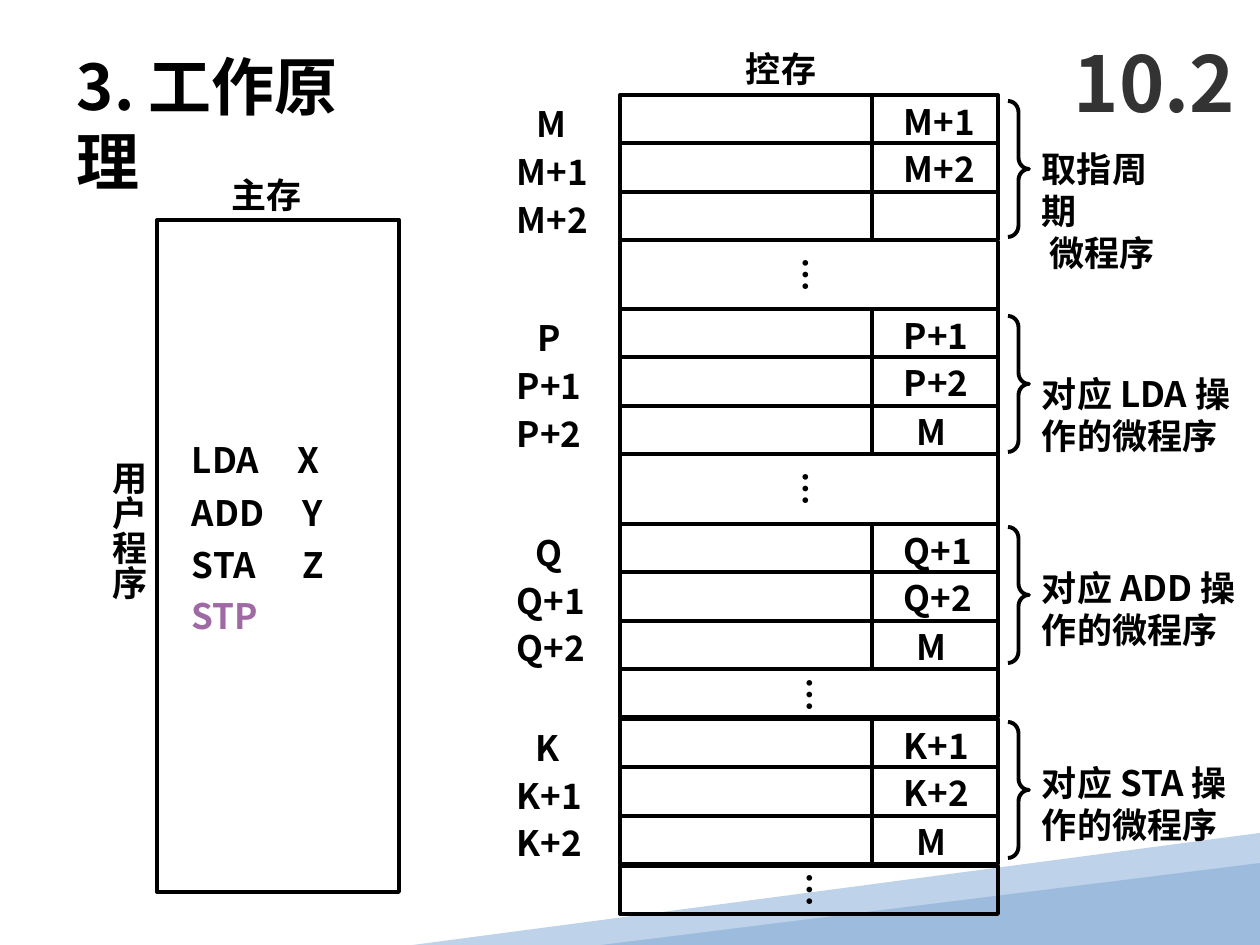
from dataclasses import dataclass

from pptx import Presentation
from pptx import util as u
from pptx.dml.color import RGBColor
from pptx.enum import shapes, text
from pptx.oxml.ns import qn
from lxml import etree

PX = 914400 / 126
FONT = "Noto Sans CJK SC"
BLACK = RGBColor(0, 0, 0)
GRAY = RGBColor(0x33, 0x33, 0x33)
PLUM = RGBColor(0x9F, 0x69, 0xA3)
PALE = RGBColor(0xBE, 0xD2, 0xE9)
BLUE = RGBColor(0x9D, 0xBC, 0xDD)
LEFT, RIGHT, SPLIT = 620, 998, 872
STEP = 48


@dataclass
class Block:
    name: str
    top: int
    head: int
    nexts: list[str]
    brace: int
    note: list[str]
    note_y: int
    note_w: int


@dataclass
class Order:
    code: str
    arg: str
    stop: int


BLOCKS = [
    Block("M", 95, 524, ["M+1", "M+2"], 101, ["取指周期", "微程序"], 139, 165),
    Block("P", 309, 525, ["P+1", "P+2", "M"], 316,
          ["对应 LDA 操", "作的微程序"], 364, 223),
    Block("Q", 524, 522, ["Q+1", "Q+2", "M"], 527,
          ["对应 ADD 操", "作的微程序"], 558, 223),
    Block("K", 719, 522, ["K+1", "K+2", "M"], 722,
          ["对应 STA 操", "作的微程序"], 753, 221),
]
ORDERS = [Order("LDA", "X", 106), Order("ADD", "Y", 111), Order("STA", "Z", 111)]
DOTS = [(772, 252), (772, 466), (777, 672), (777, 867)]


def px(num: float) -> int:
    return round(num * PX)


def area(x: int, y: int, w: int, h: int) -> tuple[int, ...]:
    return px(x), px(y), px(w), px(h)


def write(page, lines: list[str], x: int, y: int, w: int, h: int, size: int = 20,
          color: RGBColor = BLACK, wrap: bool = False, vert: bool = False,
          mid: bool = False, tab: int = 0, dent: int = 0) -> None:
    frame = page.shapes.add_textbox(*area(x, y, w, h)).text_frame
    frame.word_wrap = wrap
    frame.auto_size = text.MSO_AUTO_SIZE.NONE
    frame.margin_left = frame.margin_right = px(13)
    frame.margin_bottom = px(6)
    frame.margin_top = px(6 if vert else 6 + size // 8)
    frame.vertical_anchor = text.MSO_ANCHOR.MIDDLE if mid else text.MSO_ANCHOR.TOP
    if vert:
        frame._txBody.bodyPr.set("vert", "eaVert")
    for num, line in enumerate(lines):
        para = frame.add_paragraph() if num else frame.paragraphs[0]
        para.line_spacing = u.Pt(round(size * 1.2))
        props = para._p.get_or_add_pPr()
        if num and dent:
            props.set("marL", str(px(dent)))
            props.set("indent", "0")
        if tab:
            tabs = etree.SubElement(props, qn("a:tabLst"))
            etree.SubElement(tabs, qn("a:tab"), pos=str(px(tab)), algn="l")
        run = para.add_run()
        run.text = line
        font = run.font
        font.name, font.size, font.bold = FONT, u.Pt(size), True
        font.color.rgb = color
        etree.SubElement(run._r.get_or_add_rPr(), qn("a:ea"), typeface=FONT)


def stroke(item) -> None:
    item.line.color.rgb = BLACK
    item.line.width = u.Pt(2.25)


def outline(page, kind, x: int, y: int, w: int, h: int):
    item = page.shapes.add_shape(kind, *area(x, y, w, h))
    item.shadow.inherit = False
    item.fill.background()
    stroke(item)
    return item


def box(page, x: int, y: int, w: int, h: int) -> None:
    outline(page, shapes.MSO_SHAPE.RECTANGLE, x, y, w, h)


def rule(page, x: int, top: int, low: int) -> None:
    line = page.shapes.add_connector(
        shapes.MSO_CONNECTOR.STRAIGHT, px(x), px(top), px(x), px(low))
    stroke(line)
    etree.SubElement(line._element.spPr, qn("a:effectLst"))


def paint(item, color: RGBColor) -> None:
    item.shadow.inherit = False
    item.fill.solid()
    item.fill.fore_color.rgb = color
    item.line.fill.background()


def decor(page) -> None:
    pen = page.shapes.build_freeform(1260, 833, scale=PX)
    pen.add_line_segments([(1260, 937), (848, 945), (413, 945)])
    paint(pen.convert_to_shape(), PALE)
    wedge = page.shapes.add_shape(
        shapes.MSO_SHAPE.ISOSCELES_TRIANGLE, *area(601, 863, 659, 82))
    wedge.adjustments[0] = 1
    paint(wedge, BLUE)


def draw(page, block: Block) -> None:
    for num in range(3):
        y = block.top + num * 97 // 2
        box(page, LEFT, y, RIGHT - LEFT, STEP + num % 2)
        name = f"{block.name}+{num}" if num else block.name
        write(page, [name], 504 if num else block.head,
              block.top - 1 + num * STEP, 100 if num else 58, 55)
    rule(page, SPLIT, block.top, block.top + 145)
    for num, name in enumerate(block.nexts):
        write(page, [name], 904 if name == "M" else 891,
              block.top - 3 + num * STEP, 58 if name == "M" else 102, 55)
    brace = outline(page, shapes.MSO_SHAPE.RIGHT_BRACE, 1008, block.brace, 21, 136)
    brace.adjustments[0] = 0.54
    brace.adjustments[1] = 0.5
    write(page, block.note, 1029, block.note_y, block.note_w, 97, wrap=True,
          dent=8 if block.name == "M" else 0)


def main() -> None:
    deck = Presentation()
    deck.slide_width, deck.slide_height = px(1260), px(945)
    page = deck.slides.add_slide(deck.slide_layouts[6])
    decor(page)
    write(page, ["3. 工作原理"], 64, 38, 345, 89, size=36, wrap=True)
    write(page, ["控存"], 733, 40, 96, 55)
    for block in BLOCKS:
        draw(page, block)
    for top, low in [(241, 433), (452, 529)]:
        for x in (LEFT, RIGHT):
            rule(page, x, top, low)
    for y in (669, 866):
        box(page, LEFT, y, RIGHT - LEFT, STEP)
    for x, y in DOTS:
        write(page, ["…"], x, y, 68, 48, vert=True)
    box(page, 157, 220, 242, 672)
    write(page, ["主存"], 218, 166, 96, 55)
    for num, order in enumerate(ORDERS):
        write(page, [f"{order.code}\t{order.arg}"], 179, 431 + num * 52, 184, 55,
              tab=order.stop)
    write(page, ["STP"], 179, 586, 91, 55, color=PLUM)
    write(page, ["用户程序"], 95, 455, 68, 152, vert=True)
    write(page, ["10.2"], 1061, 21, 199, 116, size=44, color=GRAY, wrap=True, mid=True)
    deck.save("out.pptx")


if __name__ == "__main__":
    main()
